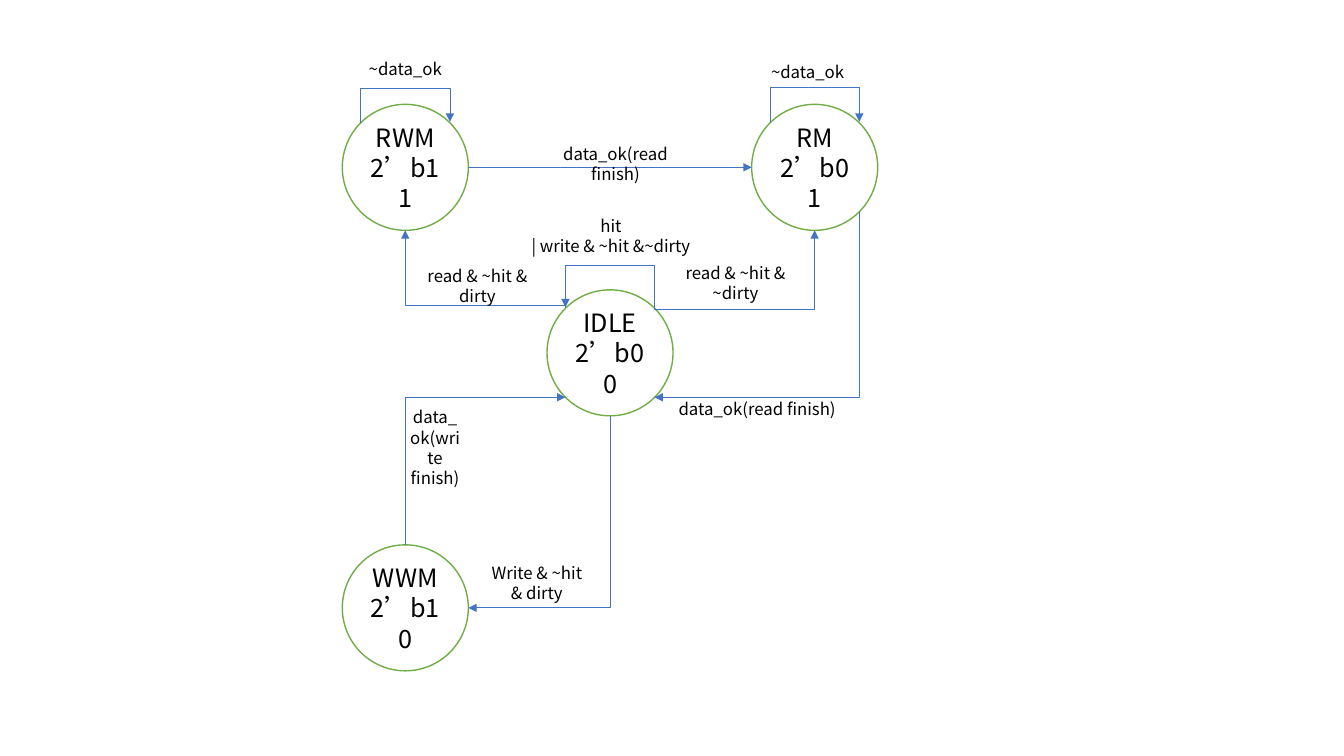
from math import cos, radians, sin

from lxml.etree import SubElement
from pptx import Presentation
from pptx.dml.color import RGBColor
from pptx.enum.shapes import MSO_CONNECTOR, MSO_SHAPE
from pptx.enum.text import MSO_ANCHOR, MSO_AUTO_SIZE, PP_ALIGN
from pptx.oxml.ns import qn
from pptx.util import Inches, Pt

FONT = "Noto Sans CJK SC"
BLACK, WHITE, GREEN, BLUE = "000000", "FFFFFF", "70AD47", "4472C4"
DIAMETER = 1.25
RIGHT, UPPER_RIGHT, TOP, UPPER_LEFT = 0, 45, 90, 135
LEFT, LOWER_LEFT, BOTTOM, LOWER_RIGHT = 180, 225, 270, 315

# Centres of the states, relative to the diagram
STATES = {
    "RWM": (0.62, 1.13, "2’b11"),
    "RM": (4.68, 1.13, "2’b01"),
    "IDLE": (2.65, 2.97, "2’b00"),
    "WWM": (0.62, 5.5, "2’b10"),
}
# Start state, port, end state, port, level of the crossing segment (None: one bend)
TRANSITIONS = [
    ("IDLE", UPPER_RIGHT, "RM", BOTTOM, 2.54),
    ("IDLE", UPPER_LEFT, "RWM", BOTTOM, 2.5),
    ("RM", LOWER_RIGHT, "IDLE", LOWER_RIGHT, None),
    ("IDLE", BOTTOM, "WWM", RIGHT, None),
    ("WWM", TOP, "IDLE", LOWER_LEFT, None),
    ("IDLE", UPPER_RIGHT, "IDLE", UPPER_LEFT, 2.1),
    ("RWM", UPPER_LEFT, "RWM", UPPER_RIGHT, 0.34),
    ("RM", UPPER_LEFT, "RM", UPPER_RIGHT, 0.33),
]
# Left, top, width, text
LABELS = [
    (1.59, 1.56, 2.14, "hit\n| write & ~hit &~dirty"),
    (3.21, 2.03, 1.37, "read & ~hit & ~dirty"),
    (0.65, 2.06, 1.37, "read & ~hit & dirty"),
    (0.06, 0, 1.12, "~data_ok"),
    (4.05, 0.03, 1.12, "~data_ok"),
    (1.91, 0.85, 1.59, "data_ok(read finish)"),
    (2.97, 3.38, 2.28, "data_ok(read finish)"),
    (1.35, 5, 1.15, "Write & ~hit & dirty"),
    (0.57, 3.46, 0.69, "data_ok(write finish)"),
]


def color(value):
    return RGBColor.from_string(value)


def write(shape, text, size):
    shape.text_frame.word_wrap = True
    shape.text_frame.text = text
    for paragraph in shape.text_frame.paragraphs:
        paragraph.alignment = PP_ALIGN.CENTER
        for run in paragraph.runs:
            run.font.size = Pt(size)
            run.font.name = FONT
            run.font.color.rgb = color(BLACK)
            SubElement(run.font._element, qn("a:ea"), typeface=FONT)


def port(left, top, state, angle):
    """Point on the edge of a state, counted anticlockwise from the right."""
    x, y, _ = STATES[state]
    radius = DIAMETER / 2
    return (left + x + radius * cos(radians(angle)),
            top + y - radius * sin(radians(angle)))


def add_arrow(slide, kind, start, end):
    connector = slide.shapes.add_connector(
        kind, *(Inches(value) for value in (*start, *end)))
    connector.line.color.rgb = color(BLUE)
    connector.line.width = Pt(0.5)
    SubElement(connector.line._get_or_add_ln(), qn("a:tailEnd"), type="triangle")
    SubElement(connector._element.spPr, qn("a:effectLst"))
    return connector


def add_bent_arrow(slide, start, end, level):
    """Arrow that leaves vertically: an elbow turned by 90 degrees."""
    (x1, y1), (x2, y2) = start, end
    if abs(y2 - y1) < 0.01:  # a level loop still needs some extent
        y2 = y1 - 0.01
    connector = add_arrow(slide, MSO_CONNECTOR.ELBOW, start, end)
    width, height = abs(y2 - y1), abs(x2 - x1)
    connector.left = Inches((x1 + x2 - width) / 2)
    connector.top = Inches((y1 + y2 - height) / 2)
    connector.width, connector.height = Inches(width), Inches(height)

    properties = connector._element.spPr
    transform = properties.find(qn("a:xfrm"))
    transform.set("rot", "5400000")
    transform.set("flipH", str(int(y2 < y1)))
    transform.set("flipV", str(int(x2 > x1)))
    geometry = properties.find(qn("a:prstGeom"))
    if level is None:
        geometry.set("prst", "bentConnector2")
    else:
        ratio = round((level - y1) / (y2 - y1) * 100000)
        SubElement(geometry.find(qn("a:avLst")), qn("a:gd"),
                   name="adj1", fmla=f"val {ratio}")


def add_states(slide, left, top):
    for name, (x, y, code) in STATES.items():
        circle = slide.shapes.add_shape(
            MSO_SHAPE.OVAL, Inches(left + x - DIAMETER / 2),
            Inches(top + y - DIAMETER / 2), Inches(DIAMETER), Inches(DIAMETER))
        circle.shadow.inherit = False
        circle.fill.solid()
        circle.fill.fore_color.rgb = color(WHITE)
        circle.line.color.rgb = color(GREEN)
        circle.line.width = Pt(1)
        circle.text_frame.vertical_anchor = MSO_ANCHOR.MIDDLE
        write(circle, f"{name}\n{code}", 18)


def add_transitions(slide, left, top):
    add_arrow(slide, MSO_CONNECTOR.STRAIGHT,
              port(left, top, "RWM", RIGHT), port(left, top, "RM", LEFT))
    for source, source_port, target, target_port, level in TRANSITIONS:
        add_bent_arrow(slide, port(left, top, source, source_port),
                       port(left, top, target, target_port),
                       None if level is None else top + level)


def add_labels(slide, left, top):
    for x, y, width, text in LABELS:
        lines = 2 if "\n" in text else 1
        label = slide.shapes.add_textbox(
            Inches(left + x), Inches(top + y), Inches(width),
            Inches(0.1 + 0.2 * lines))
        label.text_frame.auto_size = MSO_AUTO_SIZE.SHAPE_TO_FIT_TEXT
        write(label, text, 12)


def add_state_diagram(slide, left, top):
    add_states(slide, left, top)
    add_transitions(slide, left, top)
    add_labels(slide, left, top)


presentation = Presentation()
presentation.slide_width, presentation.slide_height = Inches(13.33), Inches(7.5)
slide = presentation.slides.add_slide(presentation.slide_layouts[6])
add_state_diagram(slide, 3.4, 0.53)
presentation.save("out.pptx")
